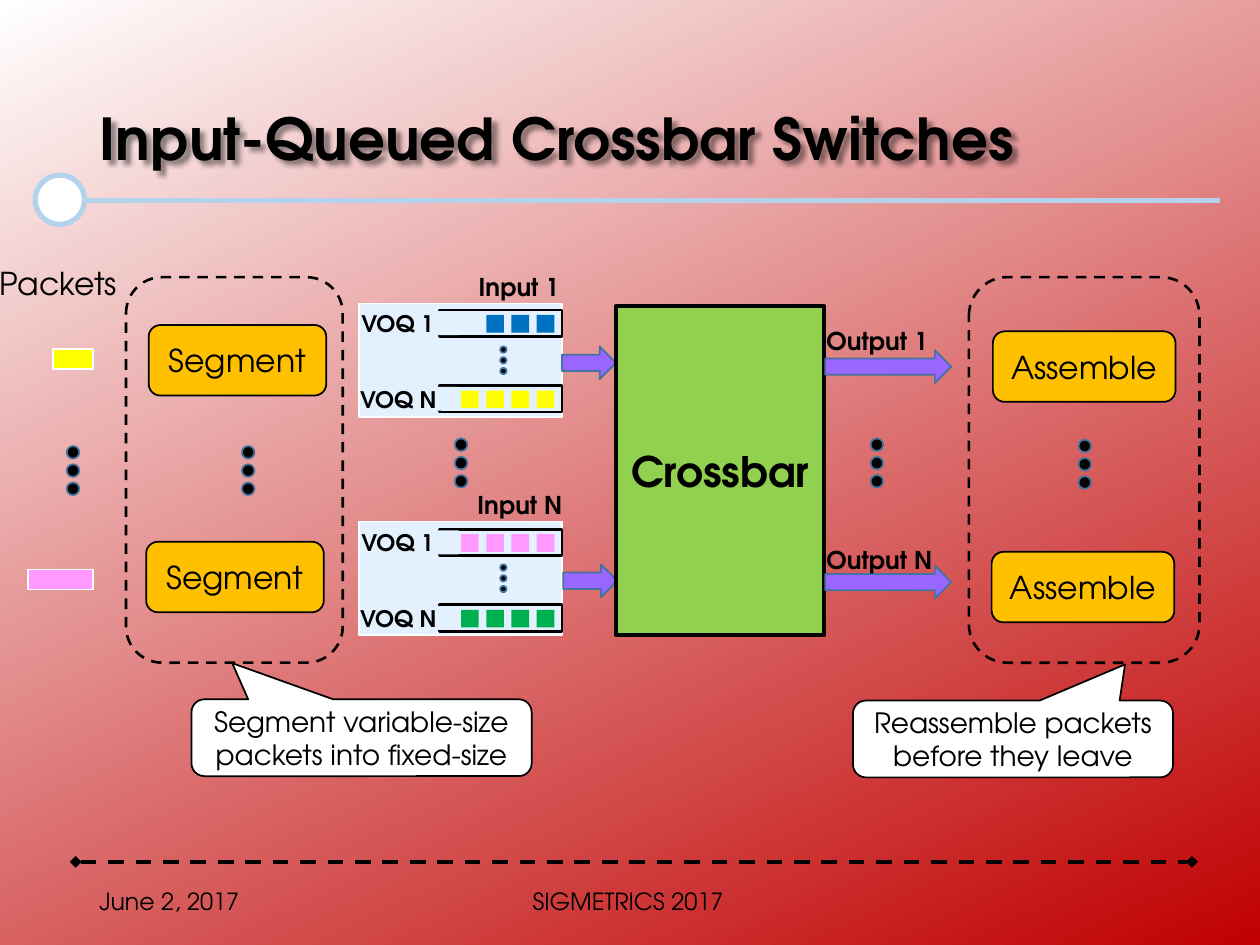
from dataclasses import dataclass
from typing import NamedTuple, Optional

from lxml import etree
from pptx import Presentation
from pptx.dml.color import RGBColor
from pptx.enum import dml, shapes, text
from pptx import util as u
from pptx.oxml.ns import qn

SHAPE = shapes.MSO_SHAPE
ALIGN = text.PP_ALIGN


@dataclass(frozen=True)
class Theme:
    font: str = "TeX Gyre Adventor"
    black: str = "000000"
    white: str = "FFFFFF"
    red: str = "C00000"
    rule: str = "B5D2EC"
    edge: str = "43739E"
    arrow: str = "9966FF"
    box: str = "FFC000"
    crossbar: str = "92D050"
    queue: str = "E3F1FF"
    yellow: str = "FFFF00"
    pink: str = "FF99FF"
    blue: str = "0070C0"
    green: str = "00B050"
    title: float = 33
    big: float = 24
    body: float = 18
    note: float = 16
    label: float = 14
    small: float = 13
    footer: float = 13.5


T = Theme()


class Box(NamedTuple):
    x: float
    y: float
    w: float
    h: float

    def emu(self) -> list:
        return [u.Inches(v) for v in self]


class Queue(NamedTuple):
    name: str
    label_x: float
    y: float
    color: str
    cells: int


class Port(NamedTuple):
    y: float
    label: str
    label_x: float
    arrow_x: float
    queues: tuple


def rgb(color: str) -> RGBColor:
    return RGBColor.from_string(color)


def write(sp, words: str, size: float, bold: bool = False, align=ALIGN.LEFT):
    tf = sp.text_frame
    tf.text = words
    p = tf.paragraphs[0]
    p.alignment = align
    f = p.runs[0].font
    f.name, f.size, f.bold = T.font, u.Pt(size), bold
    f.color.rgb = rgb(T.black)
    return tf


def shape(s, kind, box: Box, fill: Optional[str], line: Optional[str] = None,
          width: float = 1, words: str = "", size: float = T.body, bold: bool = False):
    sp = s.shapes.add_shape(kind, *box.emu())
    sp.shadow.inherit = False
    if fill:
        sp.fill.solid()
        sp.fill.fore_color.rgb = rgb(fill)
    else:
        sp.fill.background()
    if line:
        sp.line.color.rgb = rgb(line)
        sp.line.width = u.Pt(width)
    else:
        sp.line.fill.background()
    if words:
        tf = write(sp, words, size, bold, ALIGN.CENTER)
        tf.vertical_anchor = text.MSO_ANCHOR.MIDDLE
    return sp


def textbox(s, box: Box, words: str, size: float, bold: bool = False, align=ALIGN.LEFT):
    tf = write(s.shapes.add_textbox(*box.emu()), words, size, bold, align)
    tf.word_wrap = True
    return tf


def label(s, x: float, y: float, words: str, size: float, bold: bool = True) -> None:
    # Wide enough to keep every label on one line
    textbox(s, Box(x, y, 1.4, 0.34), words, size, bold)


def footer(s, box: Box, words: str, align) -> None:
    tf = textbox(s, box, words, T.footer, align=align)
    tf.vertical_anchor = text.MSO_ANCHOR.MIDDLE


def rule(s, x1: float, x2: float, y: float, color: str, width: float):
    c = s.shapes.add_connector(shapes.MSO_CONNECTOR.STRAIGHT, *Box(x1, y, x2, y).emu())
    c.line.color.rgb = rgb(color)
    c.line.width = u.Pt(width)
    etree.SubElement(c._element.spPr, qn("a:effectLst"))
    return c


def cast_shadow(sp, blur: float, dist: float, angle: int, alpha: int) -> None:
    effects = etree.SubElement(sp._element.spPr, qn("a:effectLst"))
    shadow = etree.SubElement(effects, qn("a:outerShdw"), blurRad=str(u.Pt(blur)),
                              dist=str(u.Pt(dist)), dir=str(angle * 60000),
                              algn="tl", rotWithShape="0")
    color = etree.SubElement(shadow, qn("a:srgbClr"), val=T.black)
    etree.SubElement(color, qn("a:alpha"), val=str(alpha * 1000))


def dots(s, x: float, y: float, size: float = 0.1, pitch: float = 0.145) -> None:
    for i in range(3):
        shape(s, SHAPE.OVAL, Box(x, y + i * pitch, size, size), T.black, T.edge)


def queue(s, q: Queue) -> None:
    shape(s, SHAPE.RECTANGLE, Box(3.49, q.y, 0.97, 0.21), T.queue, T.black, 1.5)
    # Patch that opens the left end
    shape(s, SHAPE.RECTANGLE, Box(3.47, q.y + 0.01, 0.17, 0.19), T.queue)
    for i in range(q.cells):
        shape(s, SHAPE.RECTANGLE, Box(4.26 - 0.2 * i, q.y + 0.04, 0.14, 0.14), q.color)
    label(s, q.label_x, q.y - 0.05, q.name, T.small)


def input_port(s, port: Port) -> None:
    shape(s, SHAPE.RECTANGLE, Box(2.85, port.y, 1.61, 0.9), T.queue, T.white)
    for q in port.queues:
        queue(s, q)
    dots(s, 3.97, port.y + 0.34, 0.05, 0.085)
    label(s, port.label_x, port.y - 0.3, port.label, T.label)
    shape(s, SHAPE.RIGHT_ARROW, Box(port.arrow_x, port.y + 0.34, 0.43, 0.26), T.arrow, T.edge)


def main() -> None:
    prs = Presentation()
    prs.slide_width, prs.slide_height = u.Inches(10), u.Inches(7.5)
    s = prs.slides.add_slide(prs.slide_layouts[5])

    # Background
    bg = s.background.fill
    bg.gradient()
    bg.gradient_angle = 360 - 65
    for stop, color in zip(bg.gradient_stops, (T.white, T.red)):
        stop.color.rgb = rgb(color)

    # Title with soft shadow
    title = s.shapes.title
    title.left, title.top, title.width, title.height = Box(0.69, 0.4, 8.62, 1.45).emu()
    tf = write(title, "Input-Queued Crossbar Switches", T.title, True)
    tf.vertical_anchor = text.MSO_ANCHOR.MIDDLE
    tf.auto_size = text.MSO_AUTO_SIZE.NONE
    tf.paragraphs[0].line_spacing = 0.9
    title.fill.background()
    cast_shadow(title, 3, 3, 45, 43)

    # Rules above and below the diagram
    rule(s, 0.69, 9.68, 1.59, T.rule, 3)
    shape(s, SHAPE.OVAL, Box(0.28, 1.39, 0.39, 0.39), T.white, T.rule, 3)
    c = rule(s, 0.6, 9.46, 6.84, T.black, 2.25)
    c.line.dash_style = dml.MSO_LINE.DASH
    for end in ("a:headEnd", "a:tailEnd"):
        etree.SubElement(c.line._get_or_add_ln(), qn(end), type="diamond")

    # Arriving packets
    label(s, -0.1, 2.05, "Packets", T.body, False)
    for y, w, color in ((2.77, 0.32, T.yellow), (4.52, 0.52, T.pink)):
        shape(s, SHAPE.RECTANGLE, Box(0.74 - w, y, w, 0.16), color, T.white)

    # Input ports and crossbar
    input_port(s, Port(2.41, "Input 1", 3.7, 4.46, (
        Queue("VOQ 1", 2.77, 2.46, T.blue, 3), Queue("VOQ N", 2.76, 3.06, T.yellow, 4))))
    input_port(s, Port(4.14, "Input N", 3.69, 4.47, (
        Queue("VOQ 1", 2.77, 4.2, T.pink, 4), Queue("VOQ N", 2.76, 4.8, T.green, 4))))
    shape(s, SHAPE.RECTANGLE, Box(4.89, 2.43, 1.65, 2.61), T.crossbar, T.black, 2.25,
          "Crossbar", T.big, True)

    # Outputs
    for name, y, label_y in (("Output 1", 2.78, 2.54), ("Output N", 4.49, 4.28)):
        shape(s, SHAPE.RIGHT_ARROW, Box(6.55, y, 1, 0.26), T.arrow, T.edge)
        label(s, 6.46, label_y, name, T.label)

    # Segment and assemble stages
    for name, w, spots in (("Segment", 1.41, ((1.18, 2.58), (1.16, 4.3))),
                           ("Assemble", 1.45, ((7.88, 2.63), (7.87, 4.38)))):
        for x, y in spots:
            shape(s, SHAPE.ROUNDED_RECTANGLE, Box(x, y, w, 0.56), T.box, T.black, words=name)
    for x, w in ((1, 1.72), (7.69, 1.83)):
        frame = shape(s, SHAPE.ROUNDED_RECTANGLE, Box(x, 2.2, w, 3.06), None, T.black, 1.5)
        frame.line.dash_style = dml.MSO_LINE.DASH

    # Ellipsis between first and last of each column
    for x, y in ((0.53, 3.54), (1.92, 3.54), (3.61, 3.48), (6.91, 3.48), (8.56, 3.49)):
        dots(s, x, y)

    # Callouts
    for box, tip, words in (
            (Box(1.52, 5.55, 2.7, 0.61), -0.38, "Segment variable-size packets into fixed-size"),
            (Box(6.77, 5.56, 2.54, 0.61), 0.35, "Reassemble packets before they leave")):
        sp = shape(s, SHAPE.ROUNDED_RECTANGULAR_CALLOUT, box, T.white, T.black,
                   words=words, size=T.note)
        sp.adjustments[0], sp.adjustments[1] = tip, -0.97

    # Footer
    footer(s, Box(0.69, 6.95, 2.25, 0.4), "June 2, 2017", ALIGN.LEFT)
    footer(s, Box(2.41, 6.95, 5.15, 0.4), "SIGMETRICS 2017", ALIGN.CENTER)

    prs.save("out.pptx")


if __name__ == "__main__":
    main()
